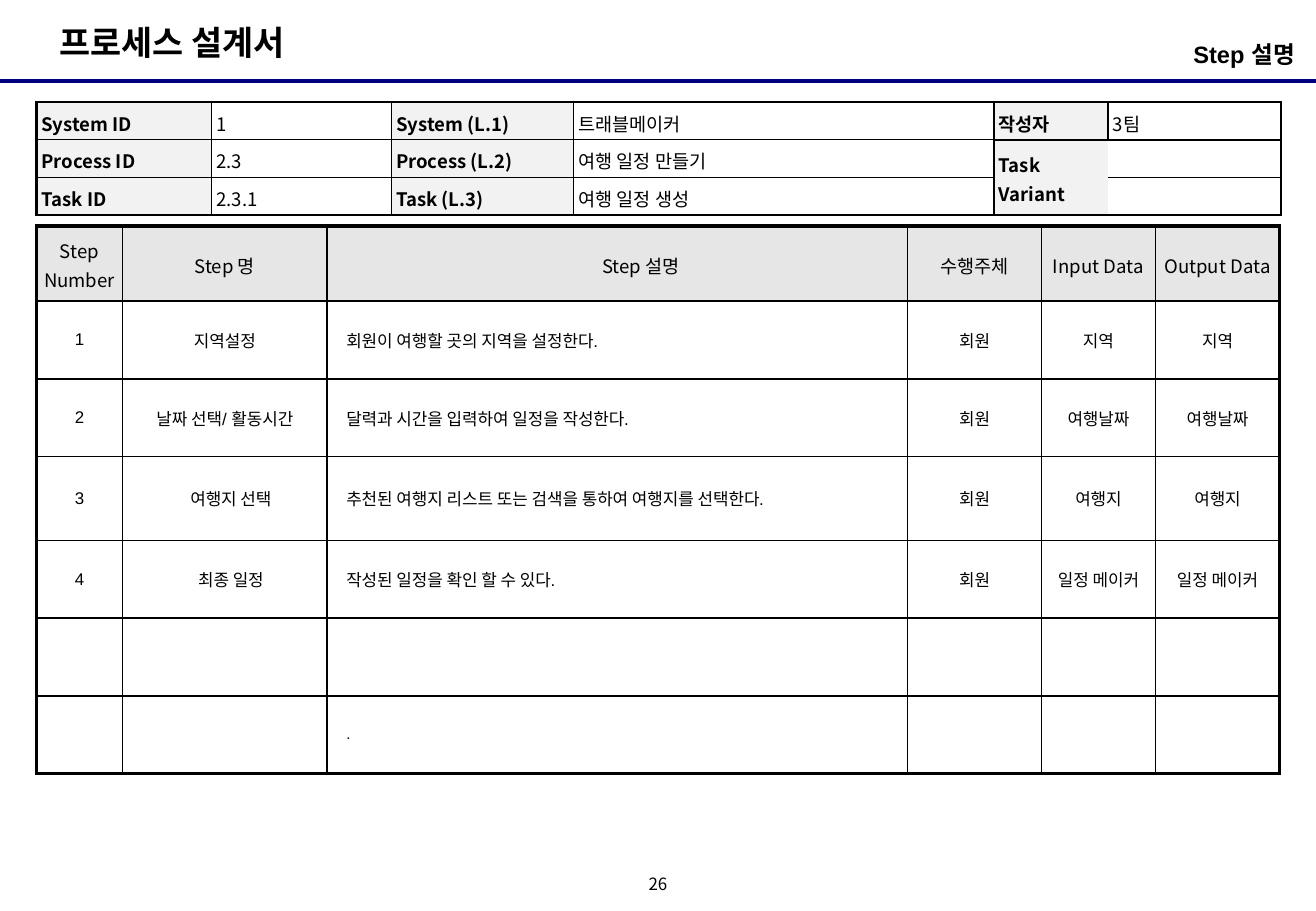
from dataclasses import dataclass
from lxml import etree
from pptx import Presentation
from pptx import util as u
from pptx.dml.color import RGBColor
from pptx.enum import shapes, text
from pptx.oxml import ns


@dataclass(frozen=True)
class Theme:
    ink: RGBColor = RGBColor(0, 0, 0)
    navy: RGBColor = RGBColor(0, 0, 0x80)
    pale: RGBColor = RGBColor(0xF2, 0xF2, 0xF2)
    grey: RGBColor = RGBColor(0xE6, 0xE6, 0xE6)
    sans: str = "Arial"
    noto: str = "Noto Sans CJK KR"
    title: int = 20
    topic: int = 14
    label: int = 11
    body: int = 10
    tiny: int = 9


theme = Theme()
mid, top = text.MSO_ANCHOR.MIDDLE, text.MSO_ANCHOR.TOP
left, center, right = text.PP_ALIGN.LEFT, text.PP_ALIGN.CENTER, text.PP_ALIGN.RIGHT


def put(frame, words, size=theme.body, face=theme.sans, bold=False,
        align=left, gap=1.0, indent=0):
    para = frame.paragraphs[0]
    para.alignment, para.line_spacing = align, gap
    if indent:
        para._p.get_or_add_pPr().set("marL", str(u.Inches(indent)))
    if not words:
        etree.SubElement(para._p, ns.qn("a:endParaRPr"), sz=str(size * 100))
        return
    run = para.add_run()
    run.text = words
    font = run.font
    font.size, font.name, font.bold = u.Pt(size), face, bold
    font.color.rgb = theme.ink
    etree.SubElement(font._element, ns.qn("a:ea"), typeface=theme.noto)


def grid(y, cols, rows, rim, pad, lines):
    table = slide.shapes.add_table(
        len(rows), len(cols), u.Inches(0.3), u.Inches(y),
        u.Inches(sum(cols)), u.Inches(sum(rows))).table
    table.first_row = table.horz_banding = False
    for col, width in zip(table.columns, cols):
        col.width = u.Inches(width)
    for row, height in zip(table.rows, rows):
        row.height = u.Inches(height)
    for r in range(len(rows)):
        for c in range(len(cols)):
            cell = table.cell(r, c)
            cell.margin_left = cell.margin_right = u.Inches(pad)
            cell.margin_top = cell.margin_bottom = u.Inches(0.04)
            outer = {"L": c == 0, "R": c == len(cols) - 1,
                     "T": r == 0, "B": r == len(rows) - 1}
            for side, edge in outer.items():
                width = lines.get((r, c, side), rim if edge else 1)
                line = etree.SubElement(cell._tc.get_or_add_tcPr(),
                                        ns.qn("a:ln" + side), w=str(u.Pt(width)))
                if width:
                    fill = etree.SubElement(line, ns.qn("a:solidFill"))
                    etree.SubElement(fill, ns.qn("a:srgbClr"), val=str(theme.ink))
                else:
                    etree.SubElement(line, ns.qn("a:noFill"))
            cell.fill.background()
    return table


deck = Presentation()
deck.slide_width, deck.slide_height = u.Inches(10.83), u.Inches(7.5)
slide = deck.slides.add_slide(deck.slide_layouts[5])

rule = slide.shapes.add_connector(
    shapes.MSO_CONNECTOR.STRAIGHT, 0, u.Inches(0.67), deck.slide_width, u.Inches(0.67))
rule.line.color.rgb, rule.line.width = theme.navy, u.Pt(2.25)
etree.SubElement(rule._element.spPr, ns.qn("a:effectLst"))

title = slide.shapes.title
title.left, title.top = u.Inches(0.39), u.Inches(0.13)
title.width, title.height = u.Inches(2.26), u.Inches(0.44)
title.text_frame.auto_size = text.MSO_AUTO_SIZE.NONE
title.text_frame.vertical_anchor = top
put(title.text_frame, "프로세스 설계서", size=theme.title, bold=True)

notes = [
    ((7.39, 0.28, 3.31, 0.39), 0.05, top, "Step 설명 ",
     dict(size=theme.topic, bold=True, align=right)),
    ((5.25, 7.17, 0.33, 0.25), 0, mid, "26",
     dict(face=theme.noto, align=center, gap=0.8)),
]
for place, inset, anchor, words, form in notes:
    frame = slide.shapes.add_textbox(*map(u.Inches, place)).text_frame
    frame.word_wrap = True
    frame.margin_left = frame.margin_right = 0
    frame.margin_top = frame.margin_bottom = u.Inches(inset)
    frame.vertical_anchor = anchor
    put(frame, words, **form)

facts = [
    ["System ID", "1", "System (L.1)", "트래블메이커", "작성자", "3팀"],
    ["Process ID", "2.3", "Process (L.2)", "여행 일정 만들기", "Task Variant", ""],
    ["Task ID", "2.3.1", "Task (L.3)", "여행 일정 생성", "", ""],
]
lines = {(r, c, side): 0 for r in (1, 2) for c, side in ((4, "R"), (5, "L"))}
lines |= {(r, c, side): 1.5 for c in (4, 5) for r, side in ((0, "B"), (1, "T"))}
table = grid(0.84, [1.44, 1.48, 1.5, 3.46, 0.94, 1.42], [0.31] * 3, 1.5, 0.04, lines)
table.cell(1, 4).merge(table.cell(2, 4))
for r, row in enumerate(facts):
    for c, words in enumerate(row):
        cell = table.cell(r, c)
        label = c % 2 == 0
        if label:
            cell.fill.solid()
            cell.fill.fore_color.rgb = theme.pale
        cell.vertical_anchor = mid if c > 3 else top
        put(cell.text_frame, words, size=theme.label, face=theme.noto,
            bold=label, gap=1.1)

heads = ["Step Number", "Step 명", "Step 설명", "수행주체", "Input Data", "Output Data"]
steps = [
    ["1", "지역설정", "회원이 여행할 곳의 지역을 설정한다.", "회원", "지역", "지역"],
    ["2", "날짜 선택/ 활동시간", "달력과 시간을 입력하여 일정을 작성한다.",
     "회원", "여행날짜", "여행날짜"],
    ["3", "여행지 선택", "추천된 여행지 리스트 또는 검색을 통하여 여행지를 선택한다.",
     "회원", "여행지", "여행지"],
    ["4", "최종 일정", "작성된 일정을 확인 할 수 있다.", "회원", "일정 메이커", "일정 메이커"],
    [""] * 6,
    ["", "", ".", "", "", ""],
]
table = grid(1.86, [0.71, 1.68, 4.78, 1.1, 0.94, 1.02],
             [0.62, 0.64, 0.64, 0.69, 0.64, 0.64, 0.64], 2.25, 0.06, {})
for c, words in enumerate(heads):
    cell = table.cell(0, c)
    cell.fill.solid()
    cell.fill.fore_color.rgb = theme.grey
    cell.vertical_anchor = mid
    put(cell.text_frame, words, size=theme.label, face=theme.noto, align=center,
        gap=1.1, indent=0.39 if c == 2 else 0)
for r, row in enumerate(steps, 1):
    for c, words in enumerate(row):
        cell = table.cell(r, c)
        cell.vertical_anchor = mid
        put(cell.text_frame, words, size=theme.tiny if words == "." else theme.body,
            align=left if c == 2 else center,
            indent=0.1 if c == 2 or (c == 1 and r in (3, 4)) else 0)

deck.save("out.pptx")
